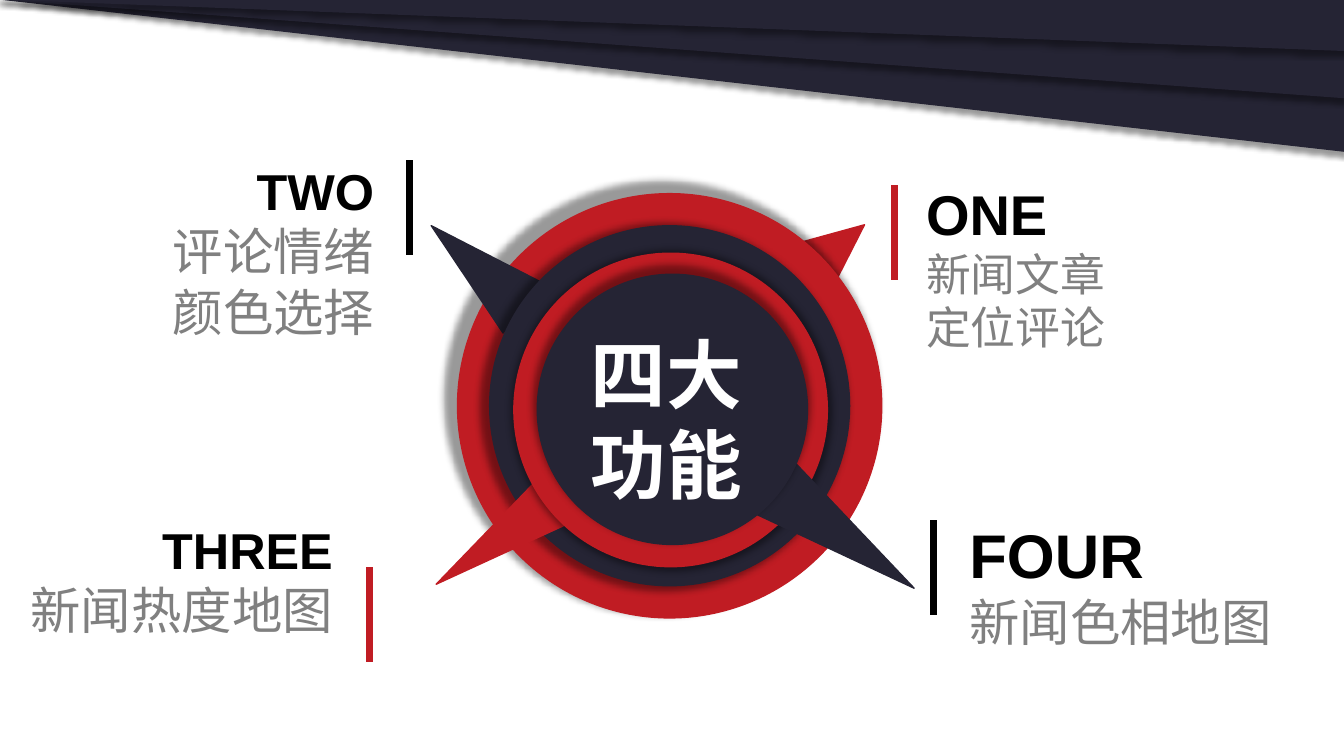
from lxml import etree
from pptx import Presentation
from pptx.dml.color import RGBColor
from pptx.enum.shapes import MSO_CONNECTOR, MSO_SHAPE
from pptx.enum.text import MSO_AUTO_SIZE, PP_ALIGN
from pptx.oxml import parse_xml
from pptx.oxml.ns import nsdecls, qn
from pptx.util import Cm, Pt

TRIANGLE = MSO_SHAPE.ISOSCELES_TRIANGLE
RIGHT_TRIANGLE = MSO_SHAPE.RIGHT_TRIANGLE
OVAL = MSO_SHAPE.OVAL
STRAIGHT = MSO_CONNECTOR.STRAIGHT
LEFT, CENTER, RIGHT = PP_ALIGN.LEFT, PP_ALIGN.CENTER, PP_ALIGN.RIGHT
FIT_SHAPE = MSO_AUTO_SIZE.SHAPE_TO_FIT_TEXT

RED, NAVY, BLACK, GRAY, WHITE = "C01C23", "252434", "000000", "808080", "FFFFFF"
RING_SHADOW = 'blurRad="63500" sx="102000" sy="102000" algn="ctr" rotWithShape="0"'
BAND_SHADOW = 'blurRad="50800" dist="38100" dir="5400000" algn="t" rotWithShape="0"'


def color(value):
    return RGBColor.from_string(value)


class SlideBuilder:
    """Holds the font and the current slide; all lengths are centimetres."""

    font_name = "Arial"

    def __init__(self, slide):
        self.slide = slide

    def shape(self, kind, left, top, width, height, fill, rotation=0, shadow=None):
        shape = self.slide.shapes.add_shape(kind, Cm(left), Cm(top), Cm(width), Cm(height))
        shape.rotation = rotation
        shape.fill.solid()
        shape.fill.fore_color.rgb = color(fill)
        shape.line.color.rgb = color(fill)
        shape.line.width = Pt(1)
        shape.shadow.inherit = False
        if shadow:
            effects = shape._element.spPr.find(qn("a:effectLst"))
            effects.append(parse_xml(
                f'<a:outerShdw {nsdecls("a")} {shadow}><a:srgbClr val="{BLACK}">'
                '<a:alpha val="40000"/></a:srgbClr></a:outerShdw>'))
        return shape

    def ring(self, left, top, diameter, fill, rotation):
        self.shape(OVAL, left, top, diameter, diameter, fill, rotation, RING_SHADOW)

    def band(self, height):
        band = self.shape(RIGHT_TRIANGLE, -0.05, -0.03, 33.93, height, NAVY,
                          shadow=BAND_SHADOW)
        transform = band._element.spPr.find(qn("a:xfrm"))
        transform.set("flipH", "1")
        transform.set("flipV", "1")

    def bar(self, left, top, line_color, length=2.39):
        bar = self.slide.shapes.add_connector(
            STRAIGHT, Cm(left), Cm(top), Cm(left), Cm(top + length))
        bar.line.color.rgb = color(line_color)
        bar.line.width = Pt(5)
        etree.SubElement(bar._element.spPr, qn("a:effectLst"))

    def text(self, left, top, width, height, lines, alignment):
        """Each line is (text, size, colour, bold)."""
        box = self.slide.shapes.add_textbox(Cm(left), Cm(top), Cm(width), Cm(height))
        frame = box.text_frame
        frame.word_wrap = True
        frame.auto_size = FIT_SHAPE
        for index, (words, size, text_color, bold) in enumerate(lines):
            paragraph = frame.add_paragraph() if index else frame.paragraphs[0]
            paragraph.alignment = alignment
            run = paragraph.add_run()
            run.text = words
            run.font.name = self.font_name
            run.font.size = Pt(size)
            run.font.bold = bold
            run.font.color.rgb = color(text_color)


def main():
    presentation = Presentation()
    presentation.slide_width = Cm(33.87)
    presentation.slide_height = Cm(19.05)
    builder = SlideBuilder(presentation.slides.add_slide(presentation.slide_layouts[6]))

    # Nested rings, each with its pointer: pointer box, turn, tip; ring box, turn
    pointers = [
        (RED, (20.5, 5.38, 1.37, 1.55), 50.8, 0.5, (11.53, 4.88, 10.69), 176),
        (NAVY, (11.23, 5.16, 1.63, 3.15), 311.7, 0.5, (12.34, 5.69, 9.07), 76.9),
        (RED, (11.94, 11.76, 1.47, 3.89), 230.7, 0.69, (12.95, 6.38, 7.9), 355.9),
        (NAVY, (20.47, 11.4, 1.63, 4.32), 125.8, 0.5, (13.54, 6.91, 6.81), 251),
    ]
    for fill, pointer_box, pointer_turn, tip, ring_box, ring_turn in pointers:
        pointer = builder.shape(TRIANGLE, *pointer_box, fill, pointer_turn)
        pointer.adjustments[0] = tip
        builder.ring(*ring_box, fill, ring_turn)

    # Four features: bar, text box, heading and description
    features = [
        (RED, (22.53, 4.67), (23.09, 4.39), 4.65, LEFT, "ONE", 40, ["新闻文章", "定位评论"], 32),
        (BLACK, (10.31, 4.04), (1.45, 3.91), 4.83, RIGHT, "TWO", 36, ["评论情绪", "颜色选择"], 36),
        (BLACK, (23.52, 13.11), (24.18, 12.9), 3.63, LEFT, "FOUR", 44, ["新闻色相地图"], 36),
        (RED, (9.32, 14.3), (0.41, 12.95), 3.3, RIGHT, "THREE", 36, ["新闻热度地图"], 36),
    ]
    for (bar_color, bar_start, corner, height, alignment,
         heading, heading_size, details, detail_size) in features:
        builder.bar(*bar_start, bar_color)
        lines = [(heading, heading_size, BLACK, True)]
        lines += [(detail, detail_size, GRAY, False) for detail in details]
        builder.text(*corner, 8.23, height, lines, alignment)

    # Centre title
    builder.text(14.22, 8.13, 5.13, 4.83, [("四大功能", 54, WHITE, True)], CENTER)

    # Layered bands along the top
    for height in (3.84, 2.49, 1.3):
        builder.band(height)

    presentation.save("out.pptx")


if __name__ == "__main__":
    main()
